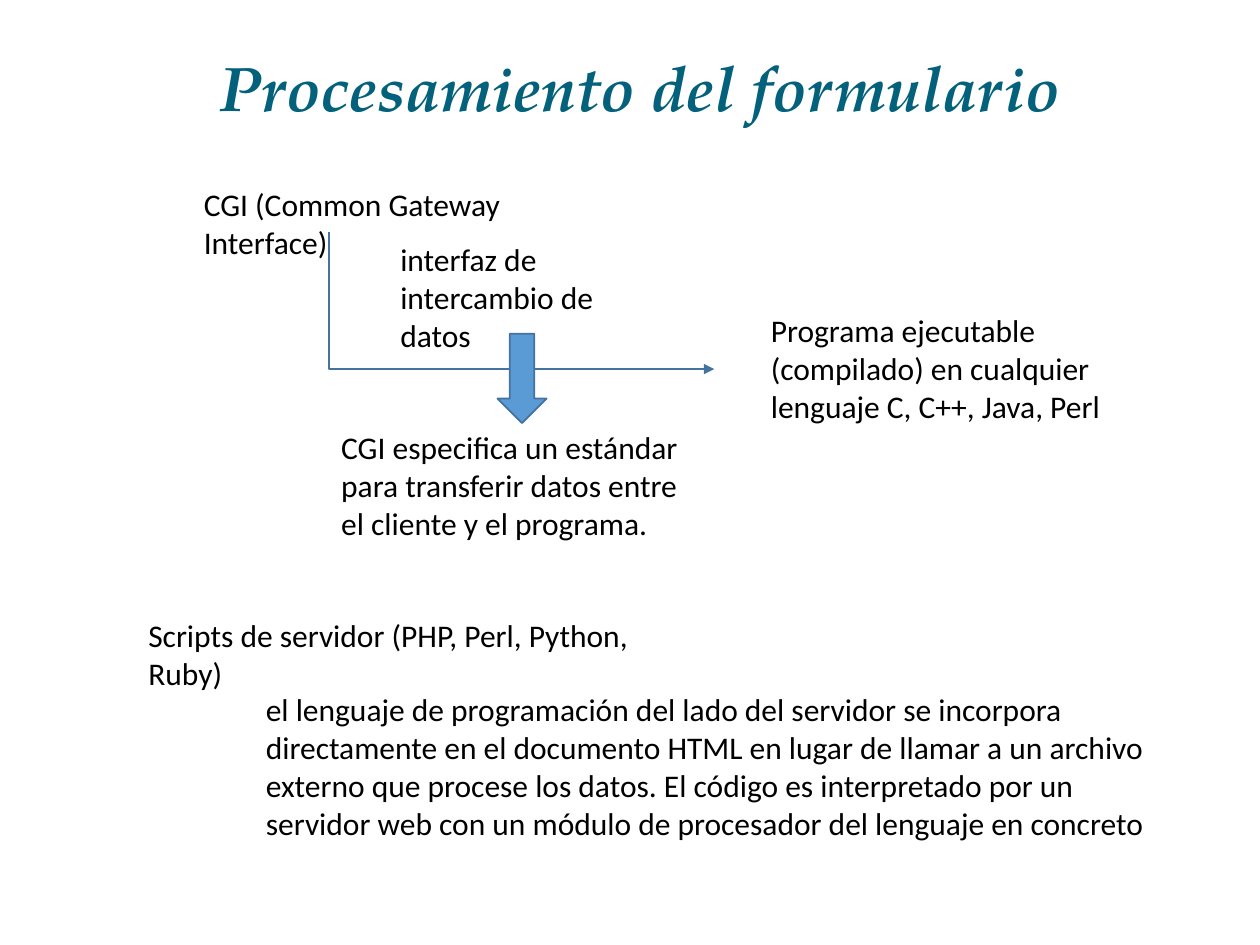
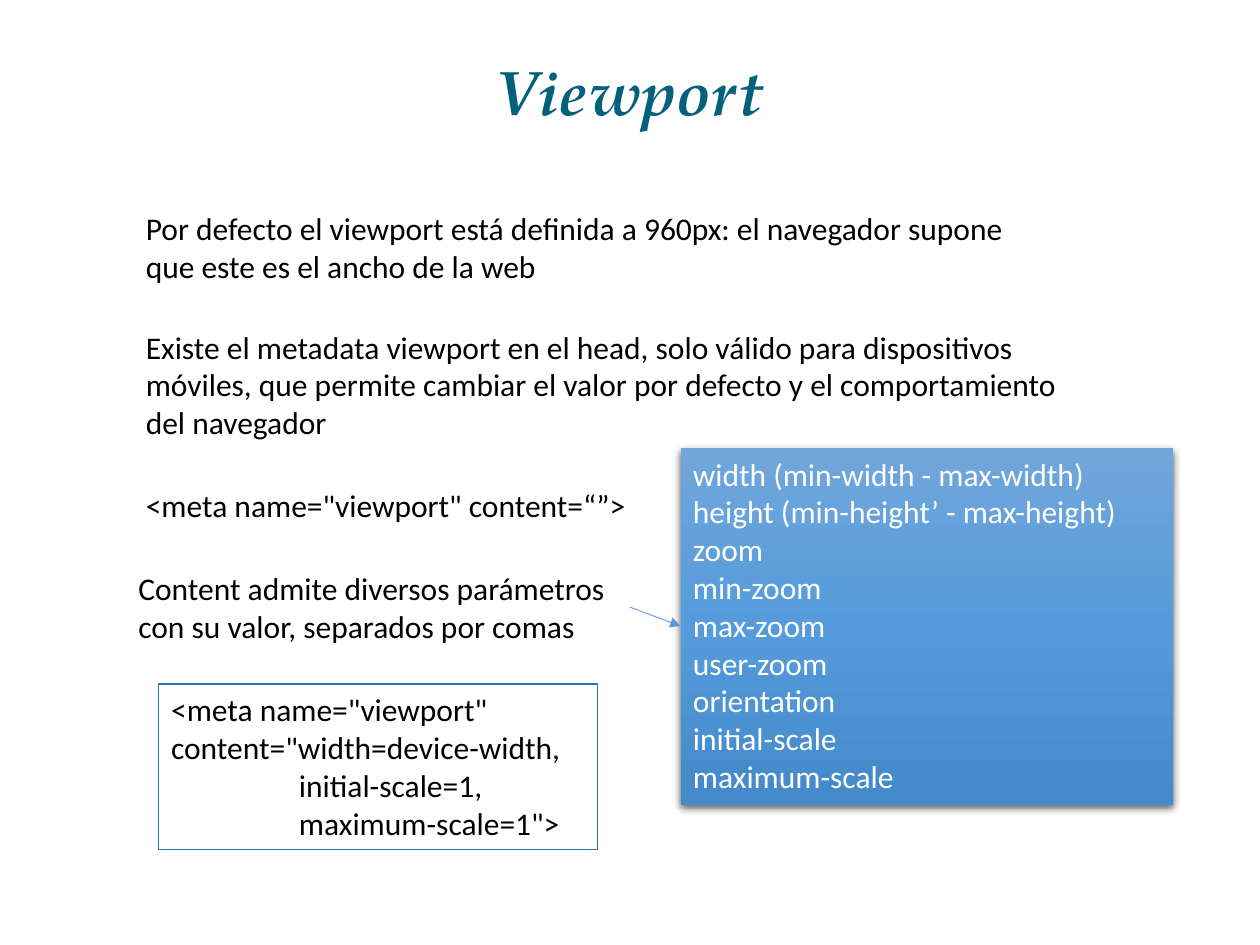
from copy import deepcopy
from dataclasses import dataclass

from lxml.etree import SubElement
from pptx import Presentation
from pptx.dml.color import RGBColor
from pptx.enum.shapes import MSO_CONNECTOR, MSO_SHAPE
from pptx.enum.text import MSO_ANCHOR, PP_ALIGN
from pptx.oxml.ns import qn
from pptx.util import Cm, Pt

COLORS = {
    "title": "04617B",
    "text": "000000",
    "light": "FFFFFF",
    "flow": "43739E",
    "accent": "5B9BD5",
    "frame": "2E75B6",
    "panel_top": "71A6DB",
    "panel_middle": "559BDB",
    "panel_bottom": "448ACA",
}
BODY_FONT = "Calibri"
TITLE_FONT = "TeX Gyre Pagella"


@dataclass
class Box:
    left: float
    top: float
    width: float
    height: float

    def inner(self, dx, dy, width, height):
        return Box(self.left + dx, self.top + dy, width, height)

    def point(self, dx, dy):
        return Cm(self.left + dx), Cm(self.top + dy)

    def place(self):
        return Cm(self.left), Cm(self.top), Cm(self.width), Cm(self.height)


def rgb(name):
    return RGBColor.from_string(COLORS[name])


def write(shape, lines, color="text"):
    frame = shape.text_frame
    frame.word_wrap = True
    frame.vertical_anchor = MSO_ANCHOR.TOP
    for number, line in enumerate(lines):
        paragraph = frame.paragraphs[0] if number == 0 else frame.add_paragraph()
        paragraph.text = line
        paragraph.alignment = PP_ALIGN.LEFT
        paragraph.font.name = BODY_FONT
        paragraph.font.size = Pt(18)
        paragraph.font.color.rgb = rgb(color)


def add_text(slide, box, text):
    write(slide.shapes.add_textbox(*box.place()), [text])


def add_title(slide, box, text, line_spacing=1.0):
    frame = slide.shapes.add_textbox(*box.place()).text_frame
    frame.word_wrap = True
    frame.vertical_anchor = MSO_ANCHOR.MIDDLE
    heading = frame.paragraphs[0]
    heading.text = text
    heading.alignment = PP_ALIGN.CENTER
    heading.line_spacing = line_spacing
    heading.font.name = TITLE_FONT
    heading.font.size = Pt(36)
    heading.font.bold = heading.font.italic = True
    heading.font.color.rgb = rgb("title")


def set_line(shape, color, width):
    shape.line.color.rgb = rgb(color)
    shape.line.width = Pt(width)


def add_arrowhead(shape):
    line = shape._element.spPr.find(qn("a:ln"))
    SubElement(line, qn("a:tailEnd"), type="triangle")


def add_plain_shape(slide, kind, box):
    shape = slide.shapes.add_shape(kind, *box.place())
    shape.shadow.inherit = False
    return shape


def add_cgi_flow(slide, box):
    add_text(slide, box.inner(0, 0, 8.64, 1.02), "CGI (Common Gateway Interface)")
    add_text(slide, box.inner(11.43, 2.54, 7.8, 2.57),
             "Programa ejecutable (compilado) en cualquier lenguaje C, C++, Java, Perl")
    add_text(slide, box.inner(3.96, 1.11, 5.41, 2.57), "interfaz de intercambio de datos")

    outline = slide.shapes.build_freeform(*box.point(2.77, 1.06))
    outline.add_line_segments([box.point(2.77, 3.83), box.point(10.54, 3.83)], close=False)
    exchange = outline.convert_to_shape()
    exchange.shadow.inherit = False
    exchange.fill.background()
    set_line(exchange, "flow", 1.5)
    add_arrowhead(exchange)

    add_text(slide, box.inner(2.77, 4.9, 7.87, 2.57),
             "CGI especifica un estándar para transferir datos entre el cliente y el programa.")
    down = add_plain_shape(slide, MSO_SHAPE.DOWN_ARROW, box.inner(6.17, 3.12, 0.99, 1.8))
    down.fill.solid()
    down.fill.fore_color.rgb = rgb("accent")
    set_line(down, "flow", 1)


def add_server_scripts(slide, box):
    add_text(slide, box.inner(0, 0, 11.43, 1.02), "Scripts de servidor (PHP, Perl, Python, Ruby)")
    add_text(slide, box.inner(2.37, 1.5, 18.62, 3.33),
             "el lenguaje de programación del lado del servidor se incorpora directamente en "
             "el documento HTML en lugar de llamar a un archivo externo que procese los datos. "
             "El código es interpretado por un servidor web con un módulo de procesador del "
             "lenguaje en concreto")


def add_viewport_intro(slide, box):
    statements = [
        (0, 1.8, "Por defecto el viewport está definida a 960px: el navegador supone que "
                 "este es el ancho de la web"),
        (2.39, 2.57, "Existe el metadata viewport en el head, solo válido para dispositivos "
                     "móviles, que permite cambiar el valor por defecto y el comportamiento "
                     "del navegador"),
        (5.59, 1.02, '<meta name="viewport" content=“”>'),
    ]
    for dy, height, text in statements:
        add_text(slide, box.inner(0, dy, box.width, height), text)


def add_parameter_panel(slide, box):
    panel = add_plain_shape(slide, MSO_SHAPE.RECTANGLE, box)
    panel.line.fill.background()
    panel.fill.gradient()
    panel.fill.gradient_angle = 270
    stop_list = panel._element.spPr.find(".//" + qn("a:gsLst"))
    stop_list.append(deepcopy(stop_list[-1]))
    shades = ["panel_top", "panel_middle", "panel_bottom"]
    for stop, position, shade in zip(panel.fill.gradient_stops, (0, 0.5, 1), shades):
        stop.position = position
        stop.color.rgb = rgb(shade)
    effects = panel._element.spPr.find(qn("a:effectLst"))
    shadow = SubElement(effects, qn("a:outerShdw"), blurRad=str(Pt(4.5)),
                        dist=str(Pt(1.5)), dir="5400000", algn="ctr", rotWithShape="0")
    shadow_color = SubElement(shadow, qn("a:srgbClr"), val=COLORS["text"])
    SubElement(shadow_color, qn("a:alpha"), val="63000")
    write(panel, [
        "width (min-width - max-width)",
        "height (min-height’ - max-height)",
        "zoom",
        "min-zoom",
        "max-zoom",
        "user-zoom",
        "orientation",
        "initial-scale",
        "maximum-scale",
    ], "light")


def add_content_options(slide, box):
    add_parameter_panel(slide, box.inner(11.18, 0, 9.93, 7.19))
    add_text(slide, box.inner(0, 2.31, 10.16, 1.8),
             "Content admite diversos parámetros con su valor, separados por comas")
    example = add_plain_shape(slide, MSO_SHAPE.RECTANGLE, box.inner(0.66, 4.75, 8.84, 3.33))
    example.fill.background()
    set_line(example, "frame", 0.75)
    write(example, [
        '<meta name="viewport" content="width=device-width,',
        "                  initial-scale=1,",
        '                  maximum-scale=1">',
    ])
    pointer = slide.shapes.add_connector(
        MSO_CONNECTOR.STRAIGHT, *box.point(10.16, 3.2), *box.point(11.18, 3.58))
    set_line(pointer, "accent", 0.5)
    add_arrowhead(pointer)
    SubElement(pointer._element.spPr, qn("a:effectLst"))


def build_form_slide(slide):
    add_title(slide, Box(1.96, 0.33, 21.9, 2.82), "Procesamiento del formulario")
    add_cgi_flow(slide, Box(3.86, 3.61, 19.23, 7.47))
    add_server_scripts(slide, Box(2.74, 12.29, 20.99, 4.83))


def build_viewport_slide(slide):
    add_title(slide, Box(1.75, 1.02, 21.9, 1.78), "Viewport", 0.9)
    add_viewport_intro(slide, Box(2.69, 4.09, 18.87, 6.61))
    add_content_options(slide, Box(2.54, 9.04, 21.11, 8.08))


def main():
    deck = Presentation()
    deck.slide_width, deck.slide_height = Cm(25.4), Cm(19.05)
    for build in (build_form_slide, build_viewport_slide):
        build(deck.slides.add_slide(deck.slide_layouts[6]))
    deck.save("out.pptx")


if __name__ == "__main__":
    main()
